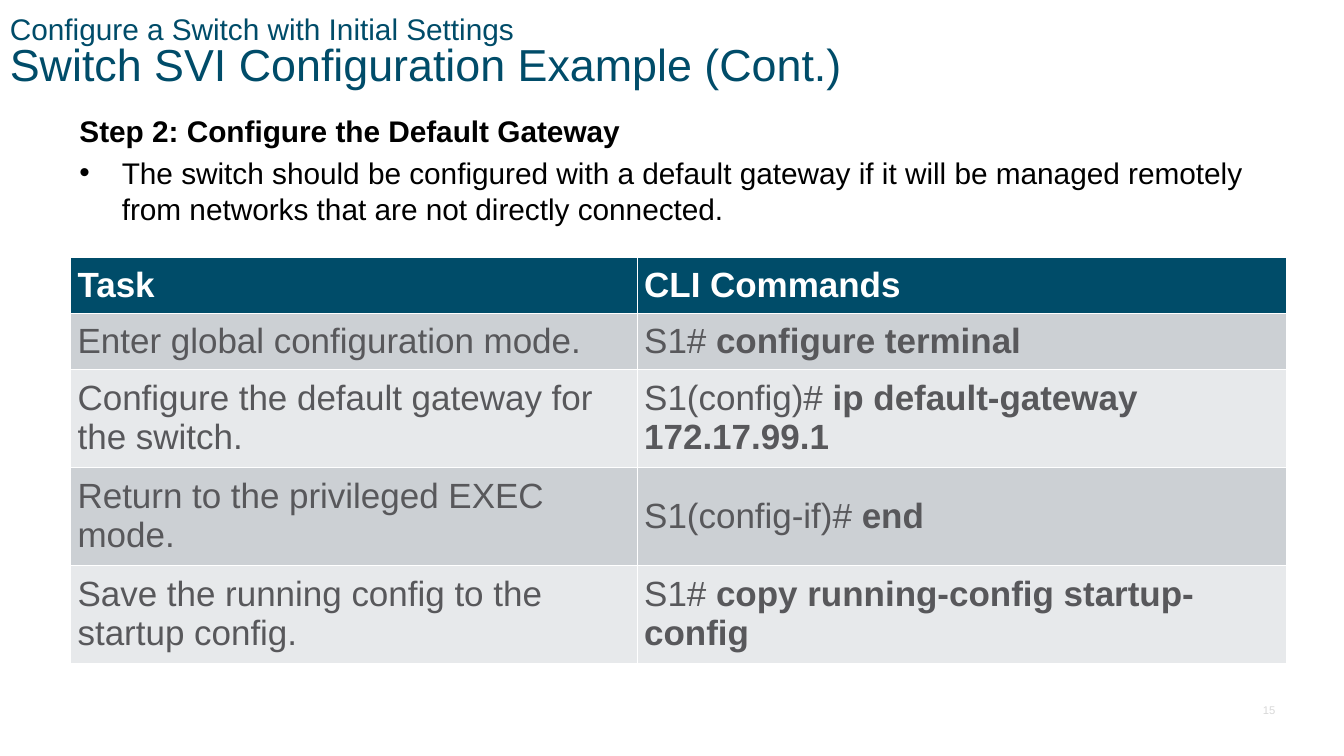
"""Build the slide on configuring a switch's default gateway."""
from lxml.etree import SubElement
from pptx import Presentation
from pptx.dml.color import RGBColor
from pptx.enum.text import MSO_ANCHOR, PP_ALIGN
from pptx.oxml.ns import qn
from pptx.util import Inches, Pt

NAVY, GREY = "004C69", "58585B"
BANDS = ["CCD0D4", "E7E9EB"]


def style(font, size, color, bold=False):
    font.name, font.size, font.bold = "Arial", Pt(size), bold
    font.color.rgb = RGBColor.from_string(color)


def add_text(left, top, width, height, anchor=MSO_ANCHOR.TOP):
    frame = slide.shapes.add_textbox(
        Inches(left), Inches(top), Inches(width), Inches(height)).text_frame
    frame.word_wrap = True
    frame.vertical_anchor = anchor
    return frame


deck = Presentation()
deck.slide_width, deck.slide_height = Inches(13.33), Inches(7.5)
slide = deck.slides.add_slide(deck.slide_layouts[6])

page_number = add_text(12.42, 6.92, 0.32, 0.23, MSO_ANCHOR.BOTTOM)
page_number.margin_left = page_number.margin_right = Inches(0.09)
page_number.margin_top = page_number.margin_bottom = Inches(0.04)
page_number.text = "15"
page_number.paragraphs[0].alignment = PP_ALIGN.RIGHT
style(page_number.paragraphs[0].font, 8, "D8D8D8")

title = add_text(0, 0, 12.17, 1.07, MSO_ANCHOR.MIDDLE).paragraphs[0]
title.line_spacing = 0.8
topic = title.add_run()
topic.text = "Configure a Switch with Initial Settings"
style(topic.font, 21.3, NAVY)
title.add_line_break()
headline = title.add_run()
headline.text = "Switch SVI Configuration Example (Cont.)"
style(headline.font, 32, NAVY)

body = add_text(0.69, 1.07, 12.07, 1.4)
step = body.paragraphs[0]
step.text = "Step 2: Configure the Default Gateway"
reason = body.add_paragraph()
reason.text = ("The switch should be configured with a default gateway if it will be "
               "managed remotely from networks that are not directly connected.")
for paragraph in (step, reason):
    paragraph.space_before = Pt(4.3)
    style(paragraph.font, 21.3, "000000", bold=paragraph is step)
bullet = reason._p.get_or_add_pPr()
bullet.set("marL", str(Inches(0.42)))
bullet.set("indent", str(Inches(-0.42)))
bullet_font = bullet.find(qn("a:defRPr"))
bullet_font.addprevious(SubElement(bullet, qn("a:buFont"), typeface="Arial"))
bullet_font.addprevious(SubElement(bullet, qn("a:buChar"), char="•"))

steps = [
    ("Task", "", "CLI Commands"),
    ("Enter global configuration mode.", "S1# ", "configure terminal"),
    ("Configure the default gateway for the switch.", "S1(config)# ",
     "ip default-gateway 172.17.99.1"),
    ("Return to the privileged EXEC mode.", "S1(config-if)# ", "end"),
    ("Save the running config to the startup config.", "S1# ",
     "copy running-config startup-config"),
]
commands = slide.shapes.add_table(
    len(steps), 2, Inches(0.7), Inches(2.55), Inches(12.06), Inches(3.56)).table
for column, width in zip(commands.columns, (5.62, 6.44)):
    column.width = Inches(width)

for index, (task, prompt, command) in enumerate(steps):
    header = index == 0
    commands.rows[index].height = Inches(0.49 if index < 2 else 0.86)
    color = "FFFFFF" if header else GREY
    fill = NAVY if header else BANDS[(index - 1) % 2]
    contents = [[(task, header)], [(prompt, False), (command, True)]]
    for cell, parts in zip(commands.rows[index].cells, contents):
        cell.vertical_anchor = MSO_ANCHOR.MIDDLE
        cell.margin_left = cell.margin_right = Inches(0.07)
        cell.margin_top = cell.margin_bottom = Inches(0.07)
        for side in ("lnL", "lnR", "lnT", "lnB"):
            border = SubElement(cell._tc.get_or_add_tcPr(), qn(f"a:{side}"), w=str(Pt(1)))
            SubElement(SubElement(border, qn("a:solidFill")), qn("a:srgbClr"), val="FFFFFF")
        cell.fill.solid()
        cell.fill.fore_color.rgb = RGBColor.from_string(fill)
        for words, bold in parts:
            if words:
                run = cell.text_frame.paragraphs[0].add_run()
                run.text = words
                style(run.font, 25, color, bold)

deck.save("out.pptx")
